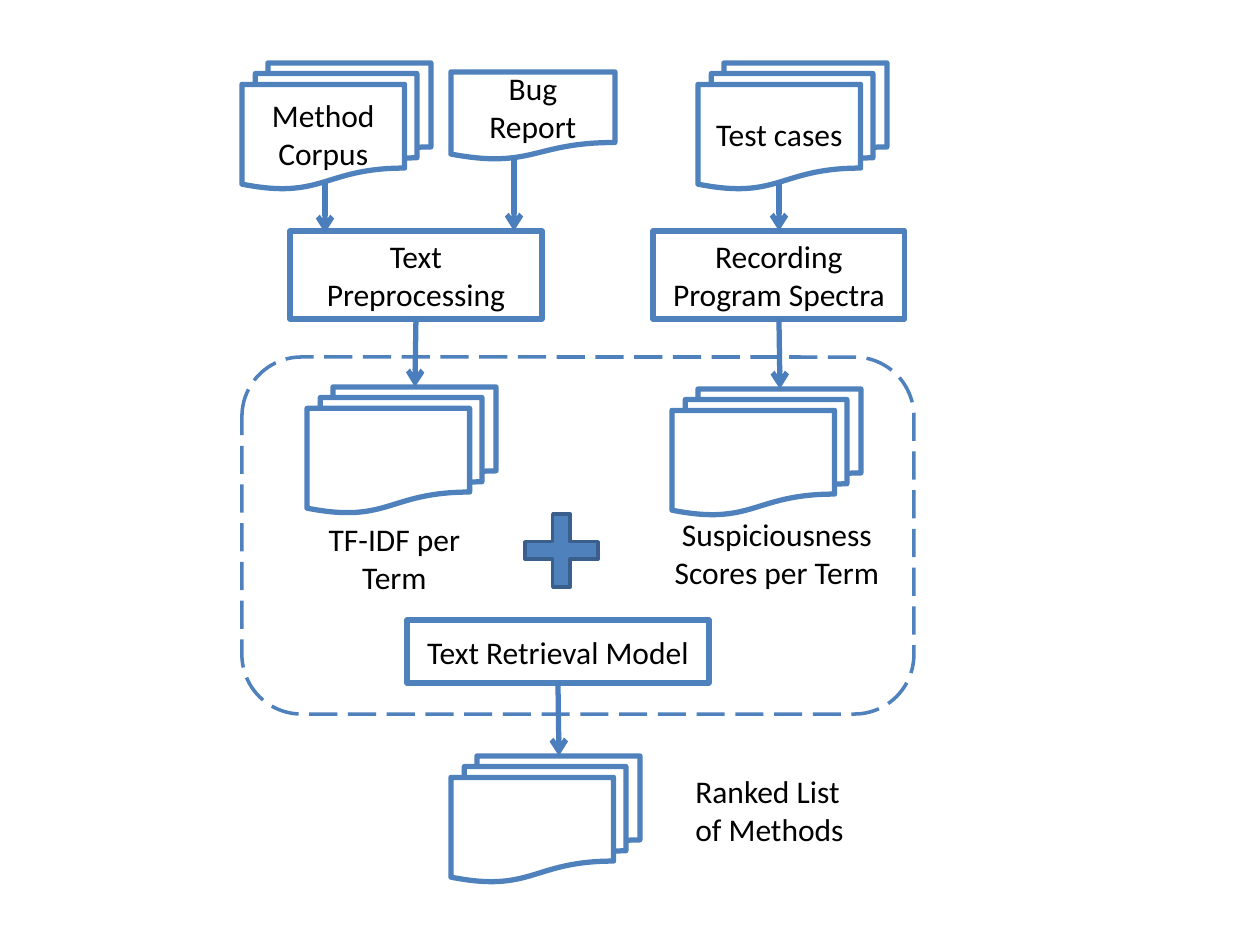
from lxml.etree import SubElement
from pptx import Presentation
from pptx.dml.color import RGBColor
from pptx.enum.dml import MSO_LINE
from pptx.enum.shapes import MSO_CONNECTOR, MSO_SHAPE
from pptx.enum.text import MSO_ANCHOR, MSO_AUTO_SIZE, PP_ALIGN
from pptx.oxml.ns import qn
from pptx.util import Pt

PX = 914400 // 126
THEME = {
    "font": "Calibri",
    "size": Pt(18),
    "text": RGBColor(0, 0, 0),
    "paper": RGBColor(255, 255, 255),
    "blue": RGBColor(0x4F, 0x81, 0xBD),
    "edge": RGBColor(0x3A, 0x5F, 0x8C),
    "arrow": RGBColor(0x4B, 0x7E, 0xBC),
    "thick": Pt(3),
    "thin": Pt(2),
}


def write(shape, text, align):
    frame = shape.text_frame
    frame.word_wrap = True
    frame.text = text
    para = frame.paragraphs[0]
    para.alignment = align
    for run in para.runs:
        run.font.name = THEME["font"]
        run.font.size = THEME["size"]
        run.font.color.rgb = THEME["text"]


def draw(kind, box, fill="paper", line="blue", width="thick"):
    shape = slide.shapes.add_shape(kind, *[n * PX for n in box])
    shape.shadow.inherit = False
    shape.fill.solid()
    shape.fill.fore_color.rgb = THEME[fill]
    shape.line.color.rgb = THEME[line]
    shape.line.width = THEME[width]
    return shape


deck = Presentation()
deck.slide_width = 1260 * PX
deck.slide_height = 945 * PX
slide = deck.slides.add_slide(deck.slide_layouts[6])

group = draw(MSO_SHAPE.ROUNDED_RECTANGLE, (242, 357, 672, 357), width="thin")
group.line.dash_style = MSO_LINE.LONG_DASH

STACK = MSO_SHAPE.FLOWCHART_MULTIDOCUMENT
stacks = [
    (242, 63, "Method Corpus"),
    (698, 63, "Test cases"),
    (307, 387, ""),
    (672, 389, ""),
    (451, 756, ""),
]
nodes = [(STACK, (x, y, 189, 126), text) for x, y, text in stacks]
nodes += [
    (MSO_SHAPE.FLOWCHART_DOCUMENT, (451, 72, 164, 88), "Bug Report"),
    (MSO_SHAPE.RECTANGLE, (290, 231, 252, 88), "Text Preprocessing"),
    (MSO_SHAPE.RECTANGLE, (653, 231, 252, 88), "Recording Program Spectra"),
    (MSO_SHAPE.RECTANGLE, (407, 620, 302, 63), "Text Retrieval Model"),
]
for kind, box, text in nodes:
    node = draw(kind, box)
    if text:
        node.text_frame.vertical_anchor = MSO_ANCHOR.MIDDLE
        write(node, text, PP_ALIGN.CENTER)

plus = draw(MSO_SHAPE.CROSS, (525, 514, 73, 73), "blue", "edge", "thin")
plus.adjustments[0] = 0.38

labels = [
    ((305, 514, 179, 89), "TF-IDF per Term", PP_ALIGN.CENTER),
    ((651, 509, 252, 89), "Suspiciousness Scores per Term", PP_ALIGN.CENTER),
    ((683, 766, 189, 89), "Ranked List of Methods", PP_ALIGN.LEFT),
]
for box, text, align in labels:
    label = slide.shapes.add_textbox(*[n * PX for n in box])
    write(label, text, align)
    label.text_frame.auto_size = MSO_AUTO_SIZE.SHAPE_TO_FIT_TEXT

arrows = [
    (325, 183, 325, 233),
    (514, 158, 514, 231),
    (779, 184, 779, 231),
    (416, 319, 415, 387),
    (779, 319, 780, 389),
    (558, 683, 559, 756),
]
for ends in arrows:
    arrow = slide.shapes.add_connector(
        MSO_CONNECTOR.STRAIGHT, *[n * PX for n in ends]
    )
    arrow.line.color.rgb = THEME["arrow"]
    arrow.line.width = THEME["thick"]
    SubElement(arrow.line._get_or_add_ln(), qn("a:tailEnd"), type="arrow")
    SubElement(arrow._element.spPr, qn("a:effectLst"))

deck.save("out.pptx")
